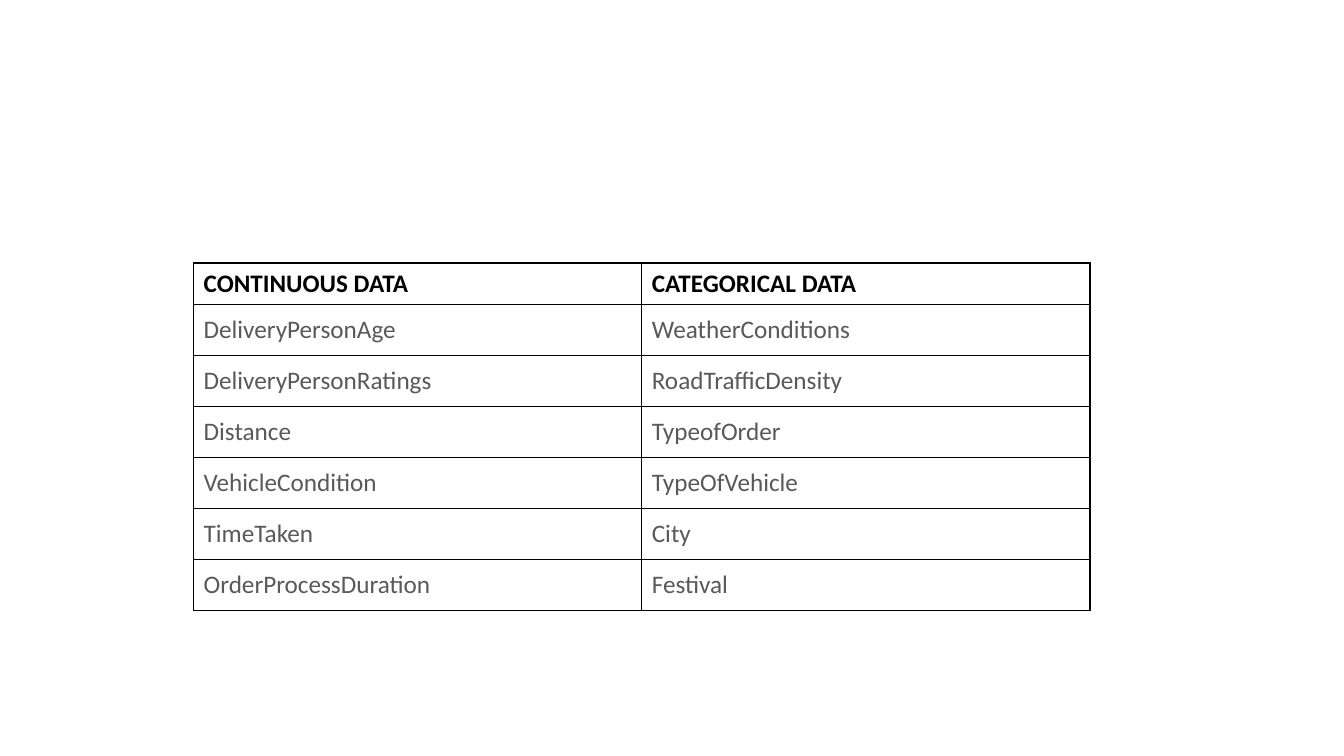
from lxml import etree
from pptx import Presentation
from pptx.dml.color import RGBColor
from pptx.enum.text import MSO_ANCHOR
from pptx.oxml.ns import qn
from pptx.util import Inches, Pt

TOP = MSO_ANCHOR.TOP
BLACK = RGBColor(0x00, 0x00, 0x00)
GREY = RGBColor(0x59, 0x59, 0x59)

BORDER_WIDTH = Pt(1)
HEADER_HEIGHT = 0.41
HEADER_FONT = {"name": "Calibri", "size": Pt(18), "bold": True}
BODY_FONT = {**HEADER_FONT, "bold": False}
HEADER_CELL = {"margin_left": Inches(0.1), "margin_right": Inches(0.1),
               "margin_top": Inches(0.05), "margin_bottom": Inches(0.05),
               "vertical_anchor": TOP}
BODY_CELL = {**HEADER_CELL, "margin_top": Inches(0.1),
             "margin_bottom": Inches(0.1)}

VARIABLES = [
    ("CONTINUOUS DATA", "CATEGORICAL DATA"),
    ("DeliveryPersonAge", "WeatherConditions"),
    ("DeliveryPersonRatings", "RoadTrafficDensity"),
    ("Distance", "TypeofOrder"),
    ("VehicleCondition", "TypeOfVehicle"),
    ("TimeTaken", "City"),
    ("OrderProcessDuration", "Festival"),
]


def set_attributes(target, values):
    for name, value in values.items():
        setattr(target, name, value)


def add_borders(cell, color):
    properties = cell._tc.get_or_add_tcPr()
    for side in ("a:lnL", "a:lnR", "a:lnT", "a:lnB"):
        line = etree.SubElement(properties, qn(side), w=str(BORDER_WIDTH))
        fill = etree.SubElement(line, qn("a:solidFill"))
        etree.SubElement(fill, qn("a:srgbClr"), val=str(color))


def fill_cell(cell, text, is_header):
    set_attributes(cell, HEADER_CELL if is_header else BODY_CELL)
    add_borders(cell, BLACK)
    cell.fill.background()
    cell.text = text
    font = cell.text_frame.paragraphs[0].runs[0].font
    set_attributes(font, HEADER_FONT if is_header else BODY_FONT)
    font.color.rgb = BLACK if is_header else GREY


def add_variable_table(slide, left, top, width, height):
    row_count, column_count = len(VARIABLES), len(VARIABLES[0])
    table = slide.shapes.add_table(
        row_count, column_count,
        Inches(left), Inches(top), Inches(width), Inches(height)).table
    set_attributes(table, {"first_row": False, "horz_banding": False})
    for column in table.columns:
        column.width = Inches(width / column_count)
    body_height = (height - HEADER_HEIGHT) / (row_count - 1)
    for row_index, texts in enumerate(VARIABLES):
        is_header = row_index == 0
        row = table.rows[row_index]
        row.height = Inches(HEADER_HEIGHT if is_header else body_height)
        for cell, text in zip(row.cells, texts):
            fill_cell(cell, text, is_header)


def main():
    presentation = Presentation()
    presentation.slide_width = Inches(13.33)
    presentation.slide_height = Inches(7.5)
    slide = presentation.slides.add_slide(presentation.slide_layouts[6])
    add_variable_table(slide, 1.92, 2.61, 8.89, 3.41)
    presentation.save("out.pptx")


if __name__ == "__main__":
    main()
